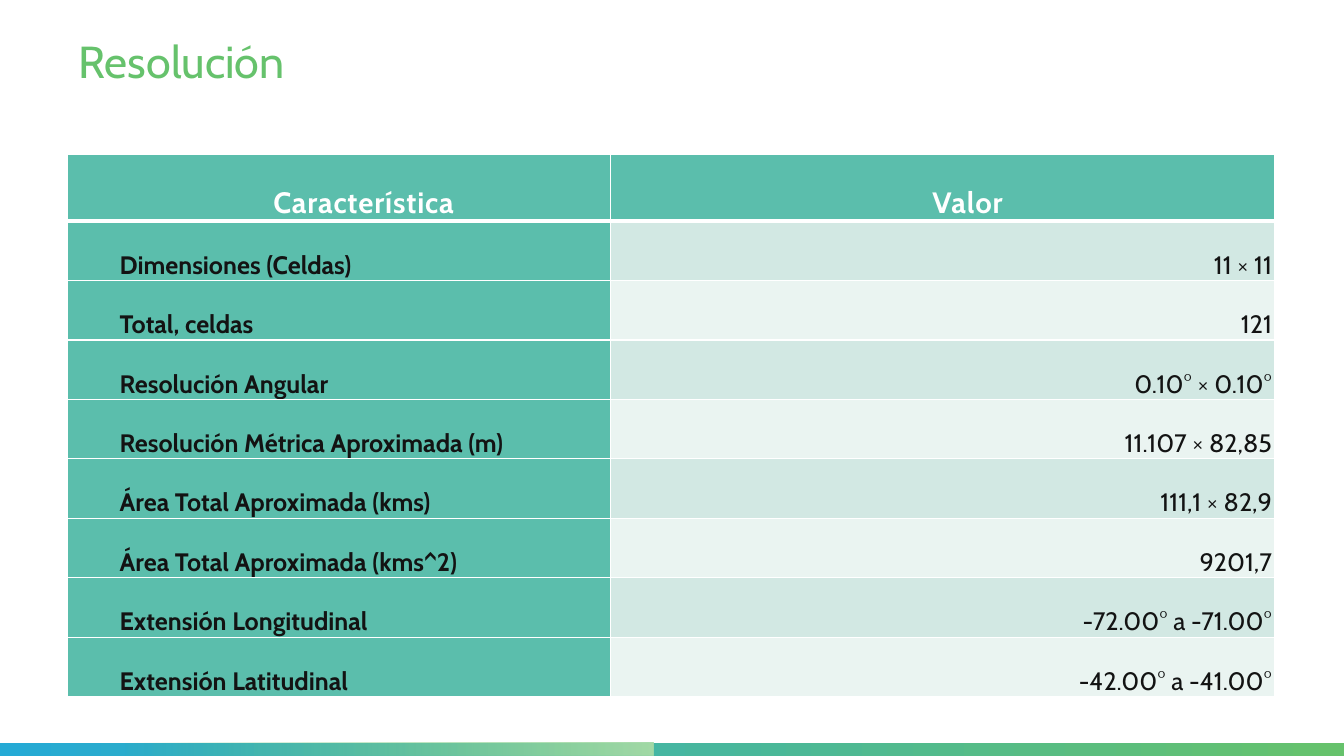
from typing import NamedTuple

from lxml import etree
from pptx import Presentation
from pptx.dml.color import RGBColor
from pptx.enum.shapes import MSO_SHAPE
from pptx.enum.text import MSO_ANCHOR, MSO_AUTO_SIZE, PP_ALIGN
from pptx.oxml.ns import qn
from pptx.util import Emu, Inches, Pt

RECTANGLE = MSO_SHAPE.RECTANGLE
LEFT, CENTER, RIGHT = PP_ALIGN.LEFT, PP_ALIGN.CENTER, PP_ALIGN.RIGHT
MIDDLE, BOTTOM = MSO_ANCHOR.MIDDLE, MSO_ANCHOR.BOTTOM

GREEN = RGBColor(0x66, 0xC2, 0x6C)
PALE_GREEN = RGBColor(0xA3, 0xDA, 0xA7)
BLUE = RGBColor(0x25, 0xAA, 0xD5)
TEAL = RGBColor(0x5B, 0xBE, 0xAC)
BAND_DARK = RGBColor(0xD2, 0xE8, 0xE3)
BAND_LIGHT = RGBColor(0xEA, 0xF4, 0xF1)
INK = RGBColor(0x13, 0x13, 0x13)
WHITE = RGBColor(0xFF, 0xFF, 0xFF)

FONT = "Cabin"
SLIDE_W, SLIDE_H = Inches(13.33), Inches(7.5)
CONTENT_W = Inches(11.98)
COLUMN_SHARES = (0.45, 0.55)
HEADER_H, ROW_H = Inches(0.65), Inches(0.59)
BAR_H = Inches(0.13)


class Feature(NamedTuple):
    name: str
    value: str


class Bar(NamedTuple):
    width_share: float
    start: RGBColor
    end: RGBColor
    start_position: float = 0.0
    fades_in: bool = False


HEADER = Feature("Característica", "Valor")
FEATURES = (
    Feature("Dimensiones (Celdas)", "11 × 11"),
    Feature("Total, celdas", "121"),
    Feature("Resolución Angular", "0.10° × 0.10°"),
    Feature("Resolución Métrica Aproximada (m)", "11.107 × 82,85"),
    Feature("Área Total Aproximada (kms)", "111,1 × 82,9"),
    Feature("Área Total Aproximada (kms^2)", "9201,7"),
    Feature("Extensión Longitudinal", "-72.00° a -71.00°"),
    Feature("Extensión Latitudinal", "-42.00° a -41.00°"),
)
BARS = (
    Bar(1, BLUE, GREEN),
    Bar(0.486, GREEN, PALE_GREEN, start_position=0.19, fades_in=True),
)


def write(frame, text: str, *, size: float, color: RGBColor, bold: bool = False,
          align=LEFT, line_spacing: float = 1.0, indent: int = 0,
          tracking: int = 0) -> None:
    """Put one formatted paragraph in a text frame."""
    paragraph = frame.paragraphs[0]
    paragraph.alignment = align
    paragraph.line_spacing = line_spacing
    if indent:
        properties = paragraph._p.get_or_add_pPr()
        properties.set("marL", "0")
        properties.set("indent", str(indent))
    run = paragraph.add_run()
    run.text = text
    run.font.name = FONT
    run.font.size = Pt(size)
    run.font.bold = bold
    run.font.color.rgb = color
    if tracking:
        run._r.get_or_add_rPr().set("spc", str(tracking))


def add_bar(slide, bar: Bar) -> None:
    """Draw a gradient bar along the bottom edge."""
    shape = slide.shapes.add_shape(RECTANGLE, 0, SLIDE_H - BAR_H,
                                   Emu(int(SLIDE_W * bar.width_share)), BAR_H)
    shape.shadow.inherit = False
    shape.line.fill.background()
    shape.fill.gradient()
    shape.fill.gradient_angle = 0
    first, last = shape.fill.gradient_stops
    first.color.rgb, last.color.rgb = bar.start, bar.end
    first.position, last.position = bar.start_position, 1.0
    if bar.fades_in:
        color = next(shape._element.iter(qn("a:srgbClr")))
        etree.SubElement(color, qn("a:alpha")).set("val", "0")


def set_borders(cell, bottom: float = 1) -> None:
    """Give a cell white borders, placed ahead of its fill."""
    properties = cell._tc.get_or_add_tcPr()
    widths = {"a:lnL": 1, "a:lnR": 1, "a:lnT": 1, "a:lnB": bottom}
    for position, (tag, width) in enumerate(widths.items()):
        line = etree.Element(qn(tag), w=str(Pt(width)))
        fill = etree.SubElement(line, qn("a:solidFill"))
        etree.SubElement(fill, qn("a:srgbClr")).set("val", str(WHITE))
        properties.insert(position, line)


def fill_cell(cell, text: str, fill: RGBColor, *, anchor=BOTTOM,
              bottom: float = 1, **text_format) -> None:
    cell.margin_left = cell.margin_right = Inches(0.03)
    cell.margin_top, cell.margin_bottom = Inches(0.13), 0
    cell.vertical_anchor = anchor
    cell.fill.solid()
    cell.fill.fore_color.rgb = fill
    set_borders(cell, bottom)
    write(cell.text_frame, text, line_spacing=1.5, indent=Inches(0.49),
          **text_format)


def add_feature_table(slide) -> None:
    height = HEADER_H + ROW_H * len(FEATURES)
    table = slide.shapes.add_table(len(FEATURES) + 1, len(COLUMN_SHARES),
                                   Emu(int(SLIDE_W * 0.05)), Inches(1.53),
                                   CONTENT_W, height).table
    table.horz_banding = False
    for column, share in zip(table.columns, COLUMN_SHARES):
        column.width = Emu(int(CONTENT_W * share))

    # Header row
    table.rows[0].height = HEADER_H
    for column, text in enumerate(HEADER):
        fill_cell(table.cell(0, column), text, TEAL, anchor=MIDDLE, bottom=3,
                  size=21, color=WHITE, bold=True, align=CENTER, tracking=60)

    # Feature rows with alternating bands
    for row, feature in enumerate(FEATURES, start=1):
        table.rows[row].height = ROW_H
        band = BAND_DARK if row % 2 else BAND_LIGHT
        fill_cell(table.cell(row, 0), feature.name, TEAL,
                  size=18, color=INK, bold=True)
        fill_cell(table.cell(row, 1), feature.value, band,
                  size=18, color=INK, align=RIGHT)


def main() -> None:
    deck = Presentation()
    deck.slide_width, deck.slide_height = SLIDE_W, SLIDE_H
    slide = deck.slides.add_slide(deck.slide_layouts[5])

    # Bottom bars
    for bar in BARS:
        add_bar(slide, bar)

    # Title
    title = slide.shapes.title
    title.left, title.top = Inches(0.68), Inches(0.32)
    title.width, title.height = CONTENT_W, Inches(0.61)
    frame = title.text_frame
    frame.auto_size = MSO_AUTO_SIZE.NONE
    frame.vertical_anchor = BOTTOM
    write(frame, "Resolución", size=32, color=GREEN, line_spacing=0.9)

    add_feature_table(slide)
    deck.save("out.pptx")


if __name__ == "__main__":
    main()
